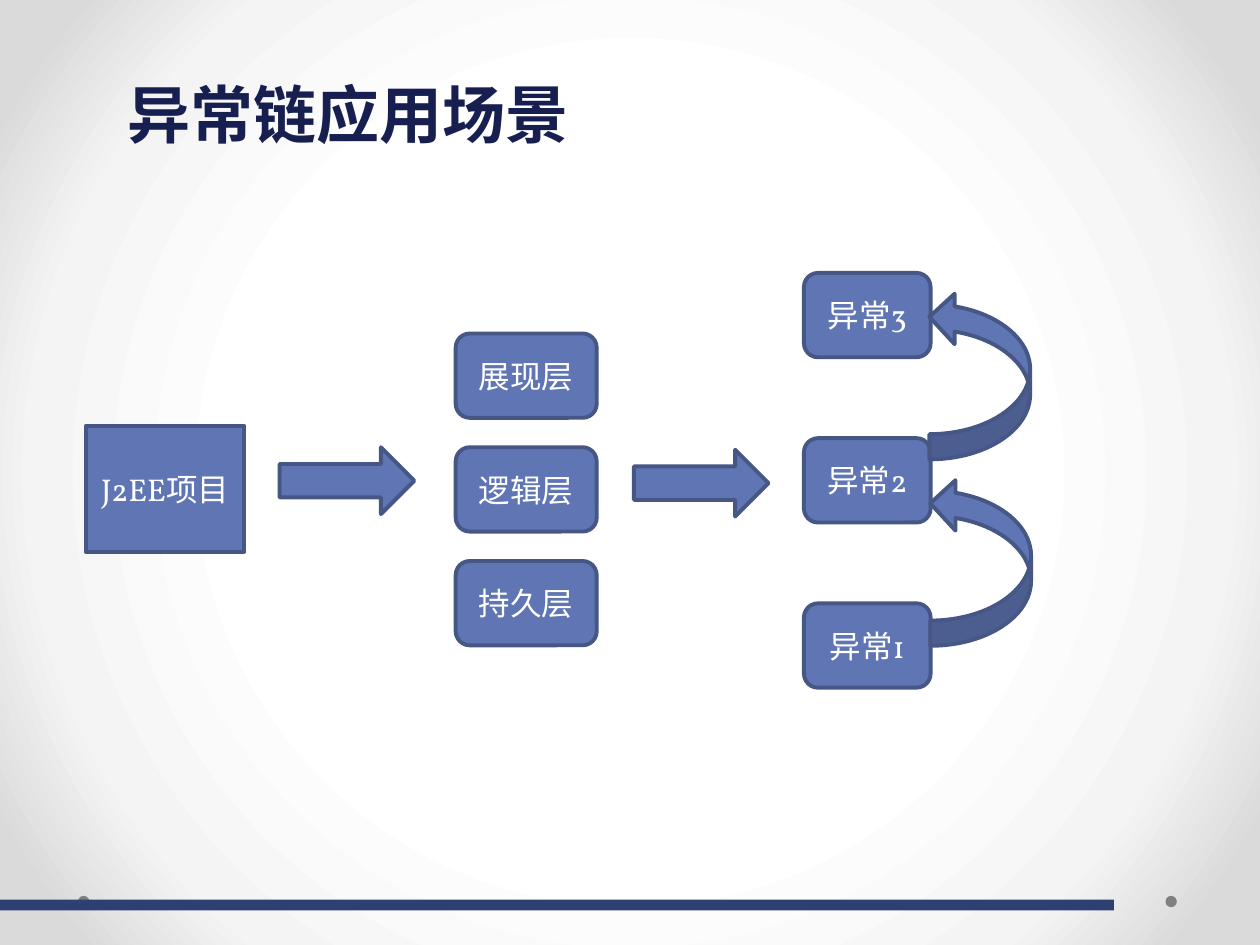
import dataclasses
import pptx
import pptx.dml.color
import pptx.enum.shapes
import pptx.enum.text
import pptx.oxml
import pptx.oxml.ns
import pptx.util

Pt = pptx.util.Pt
Kind = pptx.enum.shapes.MSO_SHAPE
Align = pptx.enum.text.PP_ALIGN
Anchor = pptx.enum.text.MSO_ANCHOR


@dataclasses.dataclass(frozen=True)
class Theme:
    fill: str = "6076B4"
    edge: str = "475785"
    text: str = "FFFFFF"
    head: str = "161F50"
    bar: str = "2E4071"
    dot: str = "808080"
    glow: tuple = ((50, "FFFFFF"), (76, "F4F4F4"), (92, "DADADA"))
    latin: str = "Vollkorn"
    asian: str = "Noto Sans CJK SC"
    big: int = 36
    body: int = 18
    stroke: float = 2.25


THEME = Theme()

TITLE = "异常链应用场景"
STACKS = [
    {"kind": Kind.RECTANGLE, "items": ["J2EE项目"],
     "left": 49, "top": 243.4, "width": 90.7, "height": 72, "pitch": 0},
    {"kind": Kind.FLOWCHART_ALTERNATE_PROCESS, "items": ["展现层", "逻辑层", "持久层"],
     "left": 260.4, "top": 190.6, "width": 80.6, "height": 48.2, "pitch": 65},
    {"kind": Kind.FLOWCHART_ALTERNATE_PROCESS, "items": ["异常3", "异常2", "异常1"],
     "left": 459.4, "top": 156, "width": 72.4, "height": 48.2, "pitch": 94.4},
]
ARROWS = [(159.8, 255.6), (362.2, 257)]
LOOPS = [(512.5, 292.3), (512, 185.8)]
DOTS = [666, 44.6]


def color(hex):
    return pptx.dml.color.RGBColor.from_string(hex)


def write(shape, text, size=THEME.body, ink=THEME.text, font=THEME.latin,
          bold=False, align=Align.CENTER, anchor=Anchor.MIDDLE, lead=1.0):
    frame = shape.text_frame
    frame.word_wrap = True
    frame.vertical_anchor = anchor
    para = frame.paragraphs[0]
    para.alignment = align
    para.line_spacing = lead
    run = para.add_run()
    run.text = text
    run.font.size = Pt(size)
    run.font.bold = bold
    run.font.name = font
    run.font.color.rgb = color(ink)
    asian = pptx.oxml.parse_xml(
        f'<a:ea {pptx.oxml.ns.nsdecls("a")} typeface="{THEME.asian}"/>')
    run.font._element.find(pptx.oxml.ns.qn("a:latin")).addnext(asian)


def draw(slide, kind, left, top, width, height, fill=THEME.fill, edge=THEME.edge):
    shape = slide.shapes.add_shape(kind, Pt(left), Pt(top), Pt(width), Pt(height))
    shape.shadow.inherit = False
    shape.fill.solid()
    shape.fill.fore_color.rgb = color(fill)
    if edge:
        shape.line.color.rgb = color(edge)
        shape.line.width = Pt(THEME.stroke)
    else:
        shape.line.fill.background()
    return shape


def glow(slide):
    slide.background.fill.solid()
    old = slide.background._cSld.find(".//" + pptx.oxml.ns.qn("a:solidFill"))
    stops = "".join(f'<a:gs pos="{at * 1000}"><a:srgbClr val="{hex}"/></a:gs>'
                    for at, hex in THEME.glow)
    new = pptx.oxml.parse_xml(
        f'<a:gradFill {pptx.oxml.ns.nsdecls("a")} rotWithShape="1">'
        f'<a:gsLst>{stops}</a:gsLst><a:path path="circle">'
        '<a:fillToRect l="50000" t="50000" r="50000" b="50000"/>'
        '</a:path></a:gradFill>')
    old.getparent().replace(old, new)


def main():
    deck = pptx.Presentation()
    deck.slide_width, deck.slide_height = Pt(720), Pt(540)
    slide = deck.slides.add_slide(deck.slide_layouts[5])
    glow(slide)

    for left in DOTS:
        draw(slide, Kind.OVAL, left, 511.9, 6.5, 6.5, fill=THEME.dot, edge=None)
    draw(slide, Kind.RECTANGLE, 0, 514, 636.5, 6.2, fill=THEME.bar, edge=None)

    title = slide.shapes.title
    title.left, title.top, title.width, title.height = map(Pt, (50.4, 45.4, 612, 59))
    title.text_frame.margin_left = Pt(22.7)
    title.text_frame.margin_top = Pt(2.4)
    write(title, TITLE, size=THEME.big, ink=THEME.head, font=THEME.asian,
          bold=True, align=Align.LEFT, anchor=Anchor.TOP, lead=0.9)

    for stack in STACKS:
        for row, text in enumerate(stack["items"]):
            top = stack["top"] + row * stack["pitch"]
            box = draw(slide, stack["kind"], stack["left"], top,
                       stack["width"], stack["height"])
            write(box, text)

    for left, top in ARROWS:
        draw(slide, Kind.RIGHT_ARROW, left, top, 77, 38.2)
    for left, top in LOOPS:
        draw(slide, Kind.CURVED_UP_ARROW, left, top, 95.8, 57.6).rotation = 270

    deck.save("out.pptx")


if __name__ == "__main__":
    main()
